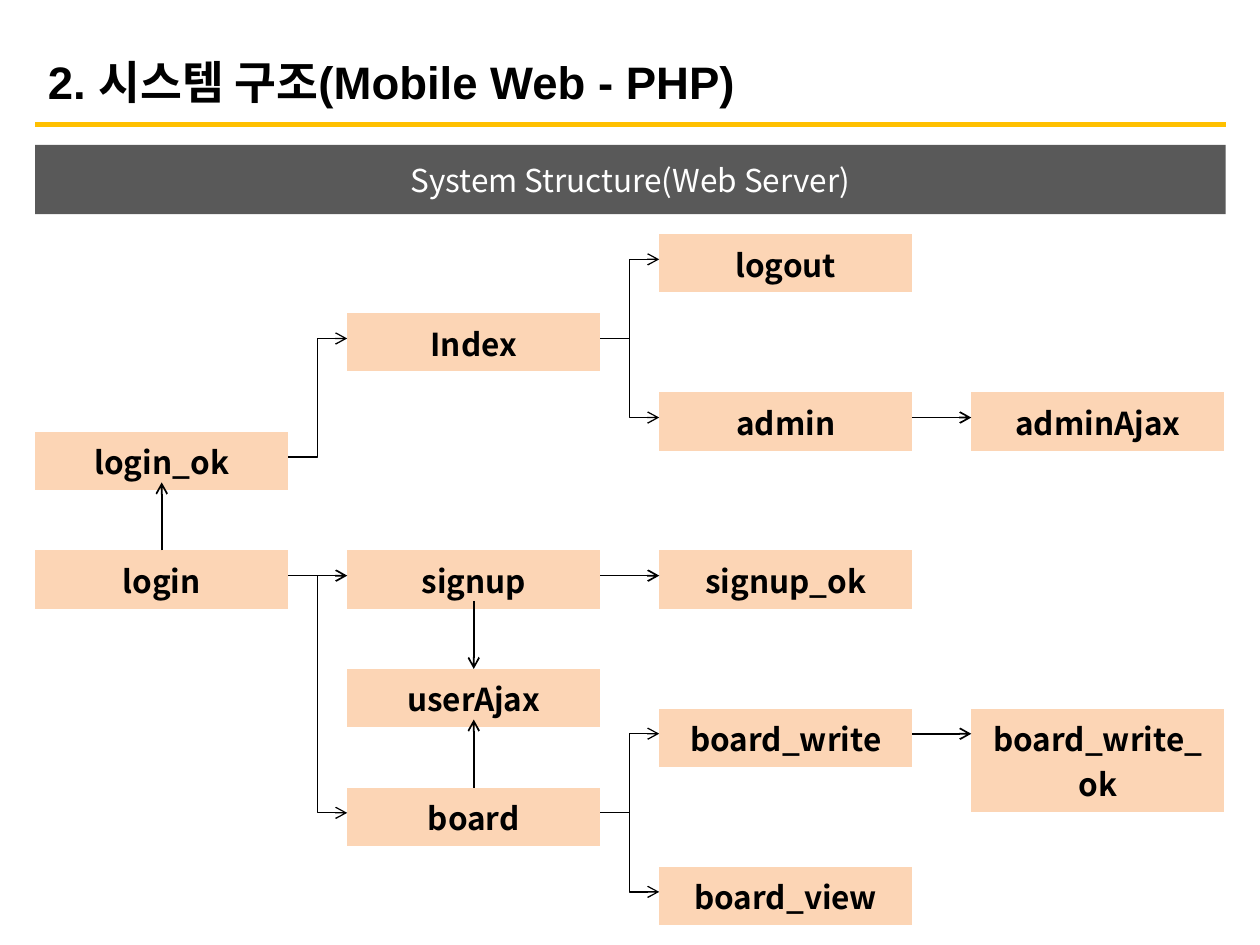
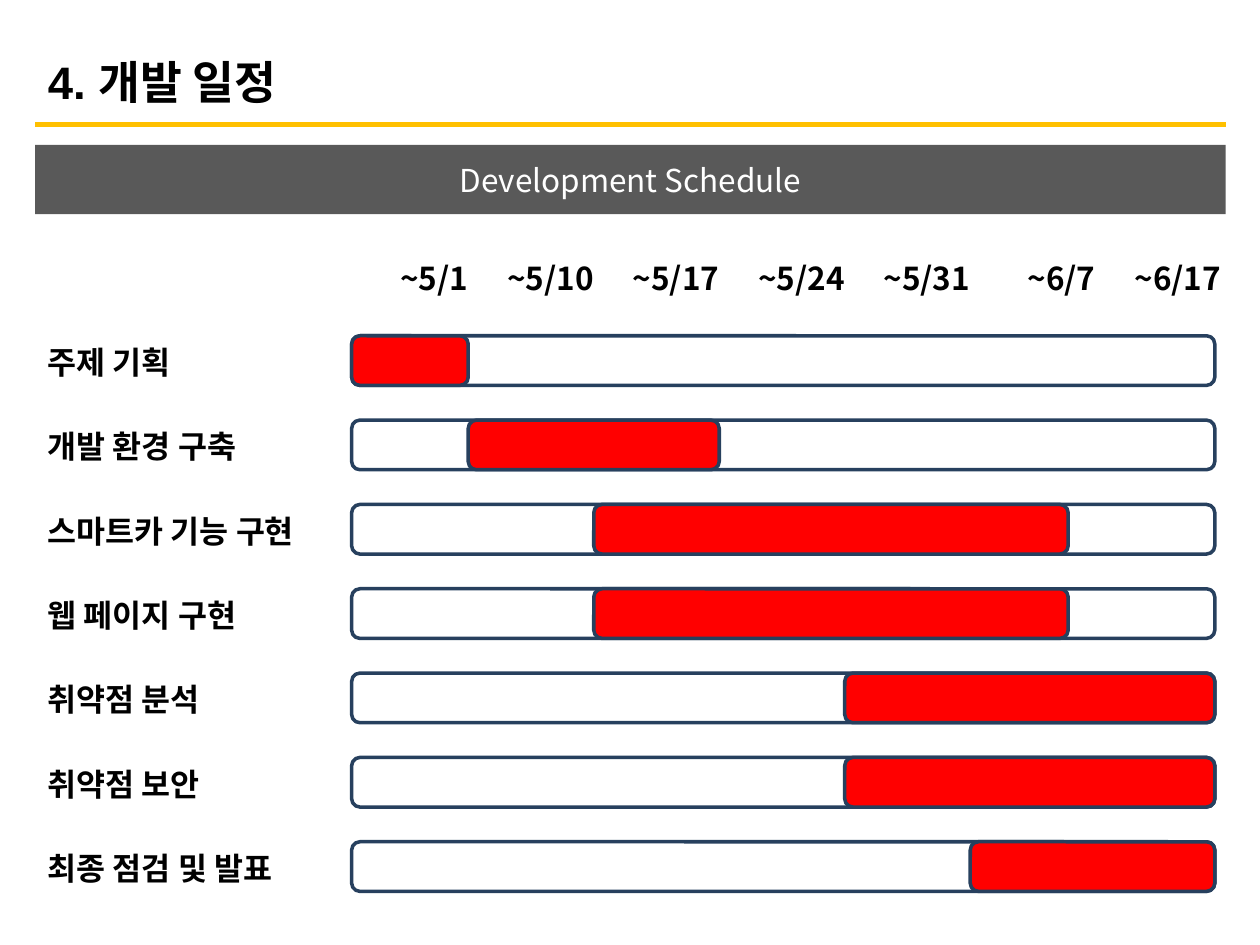
from lxml import etree
from pptx import Presentation
from pptx.dml.color import RGBColor
from pptx.enum.shapes import MSO_CONNECTOR, MSO_SHAPE
from pptx.enum.text import MSO_ANCHOR, PP_ALIGN
from pptx.oxml.ns import qn
from pptx.util import Cm, Pt

STRAIGHT, ELBOW = MSO_CONNECTOR.STRAIGHT, MSO_CONNECTOR.ELBOW
RECTANGLE, ROUNDED = MSO_SHAPE.RECTANGLE, MSO_SHAPE.ROUNDED_RECTANGLE
LEFT, CENTER, RIGHT = PP_ALIGN.LEFT, PP_ALIGN.CENTER, PP_ALIGN.RIGHT
MIDDLE = MSO_ANCHOR.MIDDLE

BLACK, WHITE, GOLD, GRAY = "000000", "FFFFFF", "FFC000", "595959"
PEACH, RED, NAVY = "FCD5B5", "FF0000", "27405E"
TITLE_FONT, BODY_FONT = "Arial", "Noto Sans CJK KR"
PLAIN_TABLE = "{2D5ABB26-0587-4C30-8999-92F81FD0307C}"

STRUCTURE = ("2. 시스템 구조(Mobile Web - PHP)", "System Structure(Web Server)")
SCHEDULE = ("4. 개발 일정", "Development Schedule")

PAGES = {
    "login": (0, 8),
    "login_ok": (0, 5),
    "Index": (1, 2),
    "signup": (1, 8),
    "userAjax": (1, 11),
    "board": (1, 14),
    "logout": (2, 0),
    "admin": (2, 4),
    "signup_ok": (2, 8),
    "board_write": (2, 12),
    "board_view": (2, 16),
    "adminAjax": (3, 4),
    "board_write_ok": (3, 12),
}
FLOWS = [
    ("login", "login_ok"), ("login", "signup"), ("login", "board"),
    ("login_ok", "Index"), ("Index", "logout"), ("Index", "admin"),
    ("admin", "adminAjax"), ("signup", "signup_ok"), ("signup", "userAjax"),
    ("board", "userAjax"), ("board", "board_write"), ("board", "board_view"),
    ("board_write", "board_write_ok"),
]

DATES = ["~5/1", "~5/10", "~5/17", "~5/24", "~5/31", "~6/7", "~6/17"]
TASKS = [
    ("주제 기획", 0, 1),
    ("개발 환경 구축", 1, 3),
    ("스마트카 기능 구현", 2, 5.78),
    ("웹 페이지 구현", 2, 5.78),
    ("취약점 분석", 4, 7),
    ("취약점 보안", 4, 7),
    ("최종 점검 및 발표", 5, 7),
]

MARGIN, CONTENT_WIDTH, CONTENT_TOP = 0.71, 24, 4.72
PAGE_WIDTH, PAGE_HEIGHT, PAGE_STEP = 5.1, 1.02, 6.29
LEVEL_STEP = 12.75 / 16
TASK_WIDTH, DATE_WIDTH, ROW_HEIGHT = 6.2, 2.53, 1.7
TRACK_LEFT, TRACK_RIGHT, BAR_HEIGHT = 7.09, 24.49, 1


def color(value):
    return RGBColor.from_string(value)


def write(frame, text, align, size=18, font=BODY_FONT, ink=BLACK, bold=True):
    para = frame.paragraphs[0]
    para.alignment = align
    span = para.add_run()
    span.text = text
    span.font.size = Pt(size)
    span.font.bold = bold
    span.font.color.rgb = color(ink)
    span.font.name = font
    east_asian = etree.SubElement(span.font._element, qn("a:ea"))
    east_asian.set("typeface", BODY_FONT)


def add_box(page, kind, left, top, width, height, fill, outline=None):
    box = page.shapes.add_shape(kind, Cm(left), Cm(top), Cm(width), Cm(height))
    box.shadow.inherit = False
    box.fill.solid()
    box.fill.fore_color.rgb = color(fill)
    if outline:
        box.line.color.rgb = color(outline)
        box.line.width = Pt(2)
    else:
        box.line.fill.background()
    return box


def add_line(page, kind, start, end, ink, width, arrow=False):
    points = [Cm(value) for value in (*start, *end)]
    line = page.shapes.add_connector(kind, *points)
    line.line.color.rgb = color(ink)
    line.line.width = Pt(width)
    if arrow:
        tail = etree.SubElement(line.line._get_or_add_ln(), qn("a:tailEnd"))
        tail.set("type", "arrow")
    etree.SubElement(line._element.spPr, qn("a:effectLst"))


def add_plain_table(page, rows, left, top, widths, row_height):
    frame = page.shapes.add_table(rows, len(widths), Cm(left), Cm(top),
                                  Cm(sum(widths)), Cm(row_height * rows))
    table = frame.table
    table.first_row = table.horz_banding = False
    table._tbl.tblPr.find(qn("a:tableStyleId")).text = PLAIN_TABLE
    for column, width in zip(table.columns, widths):
        column.width = Cm(width)
    for row in table.rows:
        row.height = Cm(row_height)
    return table


def add_page(deck, heading, band_text):
    page = deck.slides.add_slide(deck.slide_layouts[5])
    title = page.shapes.title
    title.left, title.top = Cm(MARGIN), Cm(0.74)
    title.width, title.height = Cm(CONTENT_WIDTH), Cm(1.8)
    title.text_frame.vertical_anchor = MIDDLE
    write(title.text_frame, heading, LEFT, 26, TITLE_FONT)
    add_line(page, STRAIGHT, (MARGIN, 2.51), (MARGIN + CONTENT_WIDTH, 2.51), GOLD, 2.75)
    band = add_box(page, RECTANGLE, MARGIN, 2.92, CONTENT_WIDTH, 1.4, GRAY)
    band.text_frame.vertical_anchor = MIDDLE
    write(band.text_frame, band_text, CENTER, ink=WHITE, bold=False)
    return page


def page_corner(name):
    column, level = PAGES[name]
    return MARGIN + column * PAGE_STEP, CONTENT_TOP + level * LEVEL_STEP


def add_flow(page, source, target):
    left, top = page_corner(source)
    target_left, target_top = page_corner(target)
    if left == target_left:
        center = left + PAGE_WIDTH / 2
        down = target_top > top
        start = (center, top + PAGE_HEIGHT if down else top)
        end = (center, target_top if down else target_top + PAGE_HEIGHT)
    else:
        start = (left + PAGE_WIDTH, top + PAGE_HEIGHT / 2)
        end = (target_left, target_top + PAGE_HEIGHT / 2)
    if left == target_left or top == target_top:
        add_line(page, STRAIGHT, start, end, BLACK, 1, arrow=True)
    else:
        add_line(page, ELBOW, start, end, BLACK, 0.75, arrow=True)


def build_structure(deck):
    page = add_page(deck, *STRUCTURE)
    for name in PAGES:
        table = add_plain_table(page, 1, *page_corner(name), [PAGE_WIDTH], PAGE_HEIGHT)
        cell = table.cell(0, 0)
        cell.fill.solid()
        cell.fill.fore_color.rgb = color(PEACH)
        write(cell.text_frame, name, CENTER)
    for source, target in FLOWS:
        add_flow(page, source, target)


def date_edge(count):
    edge = MARGIN + TASK_WIDTH + count * DATE_WIDTH
    return min(max(edge, TRACK_LEFT), TRACK_RIGHT)


def add_bar(page, row, left, right, fill):
    top = CONTENT_TOP + row * ROW_HEIGHT + (ROW_HEIGHT - BAR_HEIGHT) / 2
    add_box(page, ROUNDED, left, top, right - left, BAR_HEIGHT, fill, NAVY)


def build_schedule(deck):
    page = add_page(deck, *SCHEDULE)
    widths = [TASK_WIDTH] + [DATE_WIDTH] * len(DATES)
    table = add_plain_table(page, len(TASKS) + 1, MARGIN, CONTENT_TOP, widths, ROW_HEIGHT)
    for column, date in enumerate(DATES, 1):
        cell = table.cell(0, column)
        cell.vertical_anchor = MIDDLE
        cell.margin_right = 0
        write(cell.text_frame, date, RIGHT)
    for row, (task, start, end) in enumerate(TASKS, 1):
        cell = table.cell(row, 0)
        cell.vertical_anchor = MIDDLE
        write(cell.text_frame, task, LEFT)
        add_bar(page, row, TRACK_LEFT, TRACK_RIGHT, WHITE)
        add_bar(page, row, date_edge(start), date_edge(end), RED)


def main():
    deck = Presentation()
    deck.slide_width, deck.slide_height = Cm(25.4), Cm(19.05)
    build_structure(deck)
    build_schedule(deck)
    deck.save("out.pptx")


if __name__ == "__main__":
    main()
